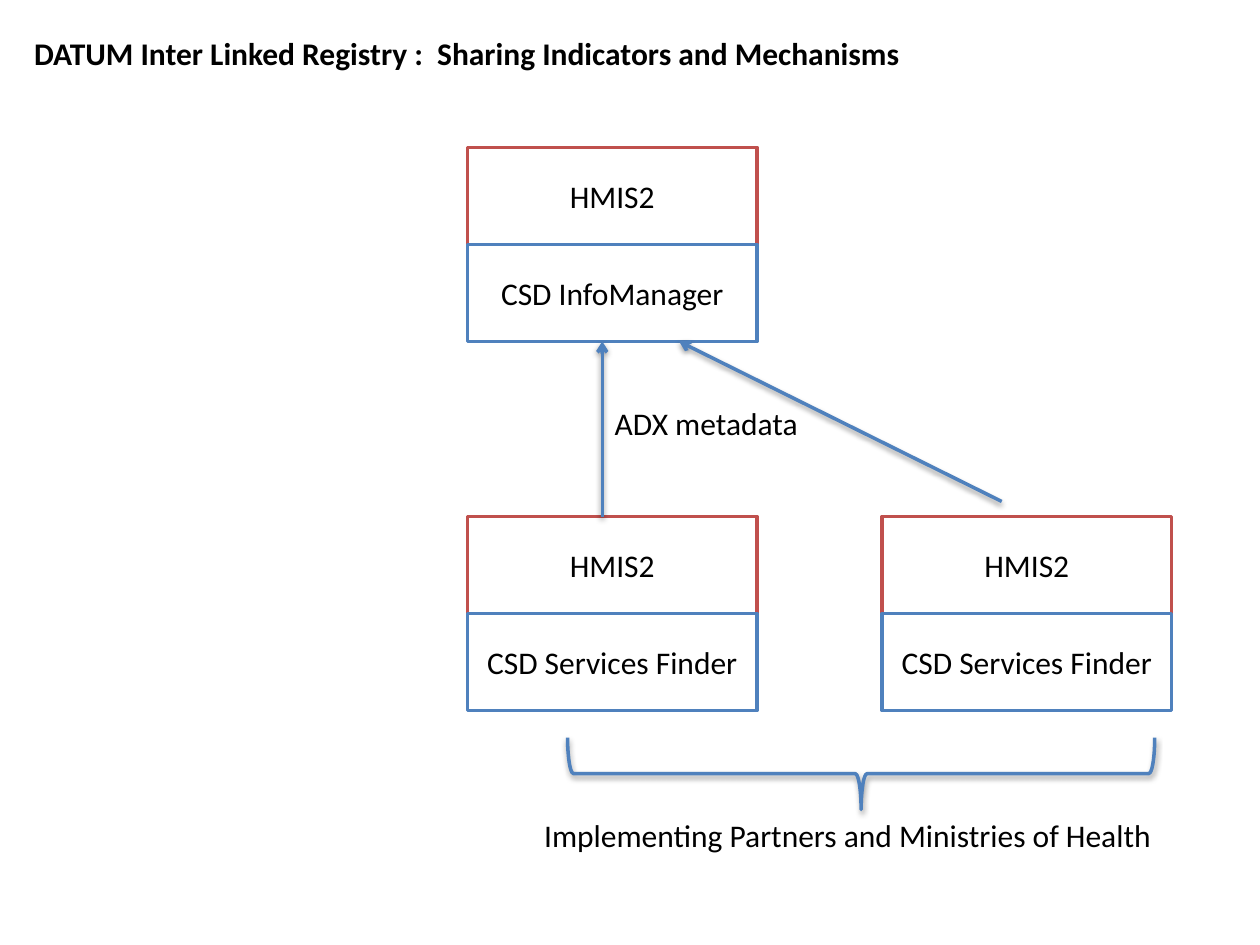
from lxml.etree import SubElement
from pptx import Presentation
from pptx.dml.color import RGBColor
from pptx.enum.shapes import MSO_CONNECTOR, MSO_SHAPE
from pptx.enum.text import MSO_ANCHOR, MSO_AUTO_SIZE, PP_ALIGN
from pptx.oxml.ns import qn
from pptx.util import Inches, Pt

COLORS = {"system": "C0504D", "service": "4F81BD", "paper": "FFFFFF", "ink": "000000"}
FONT = {"name": "Calibri", "size": Pt(18), "bold": False}

# Grid of registries, in inches
COLUMNS = (3.71, 7.0)
ROWS = (1.17, 4.1)
BOX_WIDTH, BOX_HEIGHT = 2.3, 0.77
ARROW_TOP = ROWS[0] + 2 * BOX_HEIGHT


def color(name):
    return RGBColor.from_string(COLORS[name])


def write_text(shape, text, align=PP_ALIGN.LEFT, anchor=MSO_ANCHOR.TOP, wrap=True, **font):
    frame = shape.text_frame
    frame.text = text
    frame.word_wrap = wrap
    frame.vertical_anchor = anchor
    paragraph = frame.paragraphs[0]
    paragraph.alignment = align
    run_font = paragraph.runs[0].font
    for attribute, value in {**FONT, **font}.items():
        setattr(run_font, attribute, value)
    run_font.color.rgb = color("ink")


def style_line(shape, name):
    shape.line.color.rgb = color(name)
    shape.line.width = Pt(2)


def add_soft_shadow(shape):
    properties = shape._element.spPr
    effects = properties.find(qn("a:effectLst"))
    if effects is None:
        effects = SubElement(properties, qn("a:effectLst"))
    shadow = SubElement(effects, qn("a:outerShdw"), blurRad="40000", dist="20000",
                        dir="5400000", rotWithShape="0")
    shade = SubElement(shadow, qn("a:srgbClr"), val=COLORS["ink"])
    SubElement(shade, qn("a:alpha"), val="38000")


def add_box(slide, left, top, text, line):
    box = slide.shapes.add_shape(MSO_SHAPE.RECTANGLE, Inches(left), Inches(top),
                                 Inches(BOX_WIDTH), Inches(BOX_HEIGHT))
    box.shadow.inherit = False
    box.fill.solid()
    box.fill.fore_color.rgb = color("paper")
    style_line(box, line)
    write_text(box, text, PP_ALIGN.CENTER, MSO_ANCHOR.MIDDLE)


def add_registry(slide, column, row, service):
    left, top = COLUMNS[column], ROWS[row]
    add_box(slide, left, top, "HMIS2", "system")
    add_box(slide, left, top + BOX_HEIGHT, service, "service")


def add_arrow(slide, tip, tail):
    arrow = slide.shapes.add_connector(MSO_CONNECTOR.STRAIGHT,
                                       *(Inches(value) for value in (*tip, *tail)))
    style_line(arrow, "service")
    SubElement(arrow.line._get_or_add_ln(), qn("a:headEnd"), type="arrow")
    add_soft_shadow(arrow)


def add_brace(slide, left, top, width, height):
    brace = slide.shapes.add_shape(MSO_SHAPE.LEFT_BRACE, Inches(left), Inches(top),
                                   Inches(width), Inches(height))
    brace.rotation = 270
    brace.shadow.inherit = False
    brace.fill.background()
    style_line(brace, "service")
    add_soft_shadow(brace)


def add_label(slide, left, top, width, text):
    label = slide.shapes.add_textbox(Inches(left), Inches(top), Inches(width), Inches(0.4))
    write_text(label, text, wrap=False)
    label.text_frame.auto_size = MSO_AUTO_SIZE.SHAPE_TO_FIT_TEXT


def set_title(slide, text):
    title = slide.shapes.title
    place = {"left": 0.17, "top": 0.22, "width": 7.1, "height": 0.4}
    for attribute, value in place.items():
        setattr(title, attribute, Inches(value))
    write_text(title, text, wrap=False, bold=True)
    title.text_frame.auto_size = MSO_AUTO_SIZE.SHAPE_TO_FIT_TEXT


def main():
    presentation = Presentation()
    presentation.slide_width, presentation.slide_height = Inches(10), Inches(7.5)
    slide = presentation.slides.add_slide(presentation.slide_layouts[5])
    set_title(slide, "DATUM Inter Linked Registry :  Sharing Indicators and Mechanisms")

    # Central registry above, partner registries below
    add_registry(slide, 0, 0, "CSD InfoManager")
    for column in (1, 0):
        add_registry(slide, column, 1, "CSD Services Finder")

    # Metadata flows up to the central registry
    add_arrow(slide, (4.78, ARROW_TOP), (4.78, ROWS[1]))
    add_arrow(slide, (5.39, ARROW_TOP), (7.95, 3.98))
    add_label(slide, 4.78, 3.16, 1.68, "ADX metadata")

    # Who runs the partner registries
    add_brace(slide, 6.55, 3.81, 0.57, 4.66)
    add_label(slide, 4.22, 6.43, 5.08, "Implementing Partners and Ministries of Health")

    presentation.save("out.pptx")


if __name__ == "__main__":
    main()
